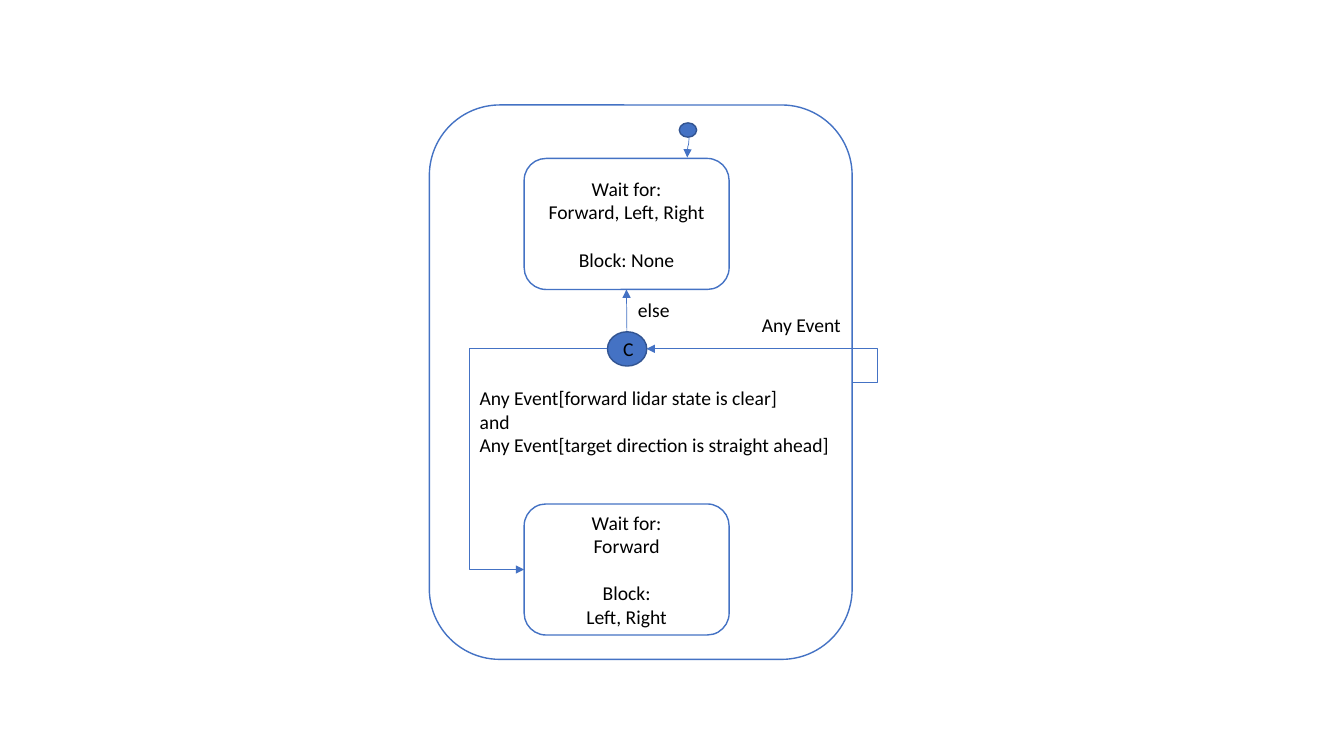
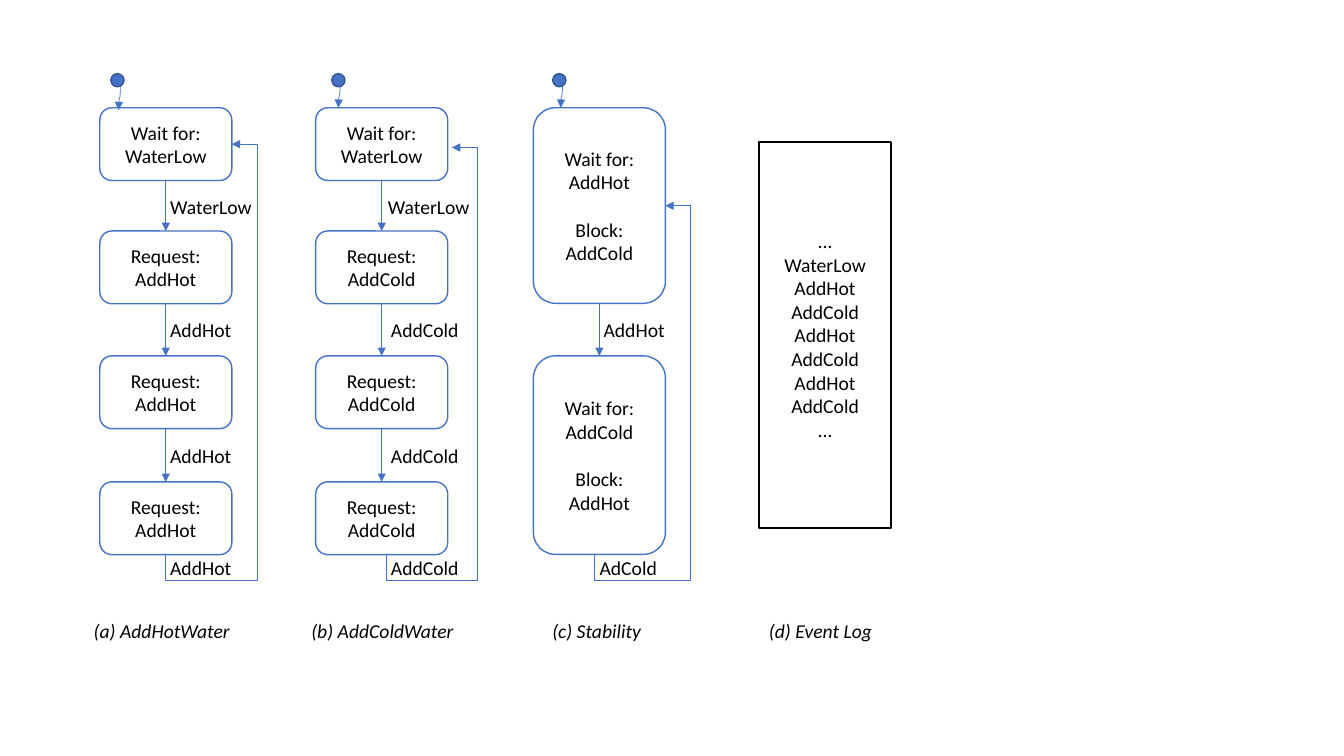
from lxml.etree import SubElement
from pptx import Presentation
from pptx.dml.color import RGBColor
from pptx.enum.shapes import MSO_CONNECTOR, MSO_SHAPE
from pptx.enum.text import MSO_ANCHOR, MSO_AUTO_SIZE, PP_ALIGN
from pptx.oxml.ns import qn
from pptx.util import Pt

BLUE, DARK_BLUE, WHITE, BLACK = "4472C4", "325491", "FFFFFF", "000000"
FONT = {"name": "Calibri", "size": Pt(14), "italic": False}
LINE_HEIGHT = 17
STATE_WIDTH, STATE_HEIGHT = 94.3, 52
ROW_TOPS = [77, 165, 254.2, 344.2]
LAST_BOTTOM = ROW_TOPS[-1] + STATE_HEIGHT
LABEL_WIDTH, LABEL_HEIGHT = 81.4, 24.5
LABEL_TOPS = [135.4, 223.2, 313.2, 393.8]
CAPTION_TOP = 438.5


def color(value):
    return RGBColor.from_string(value)


def set_values(target, values):
    for name, value in values.items():
        setattr(target, name, value)


def write(frame, groups, align, **changes):
    first = True
    for group_index, group in enumerate(groups):
        for line_index, line in enumerate(group):
            para = frame.paragraphs[0] if first else frame.add_paragraph()
            first = False
            para.alignment = align
            if group_index and not line_index:
                para.space_before = Pt(LINE_HEIGHT)
            span = para.add_run()
            span.text = line
            set_values(span.font, {**FONT, **changes})
            span.font.color.rgb = color(BLACK)


def add_box(page, kind, place, groups=(), fill=WHITE, outline=BLUE):
    box = page.shapes.add_shape(kind, *map(Pt, place))
    box.shadow.inherit = False
    box.fill.solid()
    box.fill.fore_color.rgb = color(fill)
    box.line.color.rgb = color(outline)
    box.line.width = Pt(1)
    box.text_frame.vertical_anchor = MSO_ANCHOR.MIDDLE
    write(box.text_frame, groups, PP_ALIGN.CENTER)


def add_state(page, place, *groups):
    add_box(page, MSO_SHAPE.ROUNDED_RECTANGLE, place, groups)


def add_dot(page, place, groups=()):
    add_box(page, MSO_SHAPE.OVAL, place, groups, BLUE, DARK_BLUE)


def add_label(page, place, *lines, **changes):
    box = page.shapes.add_textbox(*map(Pt, place))
    set_values(box.text_frame, {"word_wrap": True, "auto_size": MSO_AUTO_SIZE.SHAPE_TO_FIT_TEXT})
    write(box.text_frame, [lines], PP_ALIGN.LEFT, **changes)


def add_arrow(page, start, end, kind=MSO_CONNECTOR.STRAIGHT):
    arrow = page.shapes.add_connector(kind, *map(Pt, (*start, *end)))
    arrow.line.color.rgb = color(BLUE)
    arrow.line.width = Pt(0.5)
    properties = arrow.element.spPr
    SubElement(properties.find(qn("a:ln")), qn("a:tailEnd"), type="triangle")
    SubElement(properties, qn("a:effectLst"))
    return arrow


def add_route(page, start, end, preset, turn, flips, bends):
    arrow = add_arrow(page, start, end, MSO_CONNECTOR.ELBOW)
    width, height = (abs(b - a) for a, b in zip(start, end))
    center_x, center_y = ((a + b) / 2 for a, b in zip(start, end))
    if turn == 90:
        width, height = height, width
    set_values(arrow, {"left": Pt(center_x - width / 2), "top": Pt(center_y - height / 2),
                       "width": Pt(width), "height": Pt(height)})
    frame = arrow.element.spPr.find(qn("a:xfrm"))
    for name, letter in (("flipH", "h"), ("flipV", "v")):
        frame.set(name, str(int(letter in flips)))
    frame.set("rot", str(turn * 60000))
    geometry = arrow.element.spPr.find(qn("a:prstGeom"))
    geometry.set("prst", preset)
    for number, bend in enumerate(bends, 1):
        SubElement(geometry.find(qn("a:avLst")), qn("a:gd"),
                   name=f"adj{number}", fmla=f"val {round(bend * 100000)}")


def add_initial(page, dot, start, end):
    add_route(page, start, end, "curvedConnector3", 90, "", [0.5])
    add_dot(page, dot)


def add_loop(page, start, end, drop=18.2, reach=18):
    across, up = end[0] - start[0], start[1] - end[1]
    add_route(page, start, end, "bentConnector4", 90, "hv",
              [-drop / up, 1 + reach / across])


def add_water_column(page, left, action, label_lefts):
    center = left + STATE_WIDTH / 2
    events = ["WaterLow"] + [action] * 3
    for top, event, verb in zip(ROW_TOPS, events, ["Wait for:"] + ["Request:"] * 3):
        add_state(page, (left, top, STATE_WIDTH, STATE_HEIGHT), [verb, event])
    for top, following in zip(ROW_TOPS, ROW_TOPS[1:]):
        add_arrow(page, (center, top + STATE_HEIGHT), (center, following))
    for event, label_left, top in zip(events, label_lefts, LABEL_TOPS):
        add_label(page, (label_left, top, LABEL_WIDTH, LABEL_HEIGHT), event)


def build_lidar_page(page):
    add_state(page, (306.7, 75, 302, 396))
    add_state(page, (374.4, 113.2, 146.4, 93.6),
              ["Wait for:", "Forward, Left, Right"], ["Block: None"])
    add_state(page, (374.4, 360, 146.4, 93.6),
              ["Wait for:", "Forward"], ["Block:", "Left, Right"])
    add_label(page, (335.5, 272.2, 273, 58.3), "Any Event[forward lidar state is clear]",
              "and", "Any Event[target direction is straight ahead]")
    add_route(page, (608.4, 273.2), (461.8, 249.2), "bentConnector3", 0, "hv", [-0.123])
    add_initial(page, (485.2, 87.8, 12.4, 10.2), (492.2, 95.4), (490.9, 112.5))
    add_arrow(page, (447.8, 237), (447.5, 206.8))
    add_label(page, (448.6, 209.5, 92.9, LABEL_HEIGHT), "else")
    add_dot(page, (433.9, 237, 28.1, 24.5), [["C"]])
    add_label(page, (537.1, 220.3, 106.6, 41), "Any Event")
    add_route(page, (433.9, 249.2), (374.4, 406.8), "bentConnector3", 180, "v", [1.654])


def build_water_page(page):
    hot, cold, stable, log = 71.3, 225.5, 381, 542.2
    add_water_column(page, hot, "AddHot", [114.5] * 4)
    add_water_column(page, cold, "AddCold", [270] + [272.2] * 3)

    add_state(page, (stable, ROW_TOPS[0], STATE_WIDTH, 139.7),
              ["Wait for:", "AddHot"], ["Block:", "AddCold"])
    add_state(page, (stable, ROW_TOPS[2], STATE_WIDTH, 141.8),
              ["Wait for:", "AddCold"], ["Block:", "AddHot"])
    center = stable + STATE_WIDTH / 2
    add_arrow(page, (center, 216.7), (center, ROW_TOPS[2]))
    add_label(page, (424.1, LABEL_TOPS[1], LABEL_WIDTH, LABEL_HEIGHT), "AddHot")
    add_label(page, (421.2, LABEL_TOPS[3], LABEL_WIDTH, LABEL_HEIGHT), "AdCold")

    for dot_left, start, end in [(79.2, (86, 61.6), (84.7, 78.7)),
                                 (237, (243, 60), (241.7, 77)),
                                 (394.8, (401.8, 60), (400.5, 77))]:
        add_initial(page, (dot_left, 52.6, 9.4, 9.4), start, end)
    for start_x, end in [(118.3, (165.6, 103)), (275.6, (322.8, 105.4)), (428.5 - 3.6, (475.3, 147))]:
        add_loop(page, (start_x, LAST_BOTTOM), end)

    add_box(page, MSO_SHAPE.RECTANGLE, (log, 101.5, STATE_WIDTH, 275.8),
            [["…", "WaterLow"] + ["AddHot", "AddCold"] * 3 + ["…"]], outline=BLACK)
    for left, width, caption in [(59.8, 117.4, "(a) AddHotWater"), (215.3, 120.2, "(b) AddColdWater"),
                                 (387.4, 81.4, "(c) Stability"), (log, 112.3, "(d) Event Log")]:
        add_label(page, (left, CAPTION_TOP, width, LABEL_HEIGHT), caption, italic=True)


def main():
    deck = Presentation()
    set_values(deck, {"slide_width": Pt(960), "slide_height": Pt(540)})
    for build in (build_lidar_page, build_water_page):
        build(deck.slides.add_slide(deck.slide_layouts[6]))
    deck.save("out.pptx")


main()
